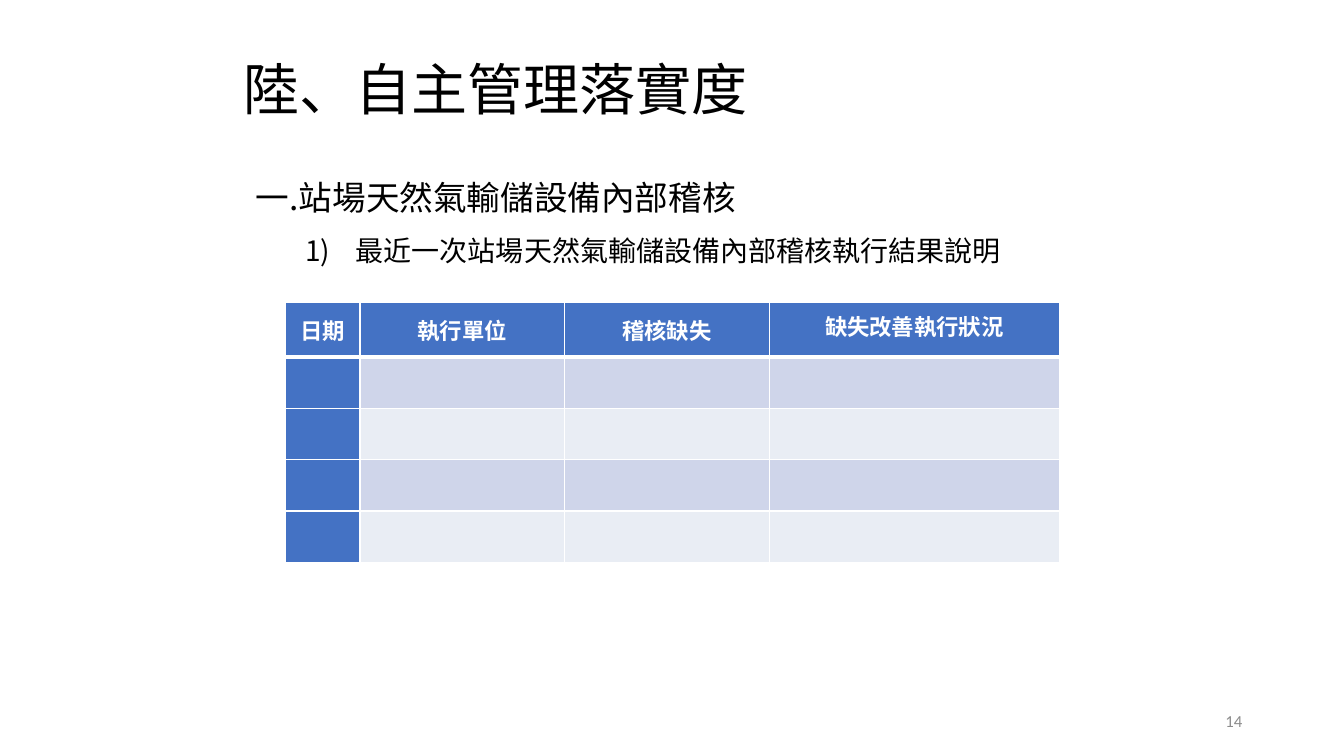
from lxml.etree import SubElement as Sub
from pptx import Presentation
from pptx.dml.color import RGBColor as RGB
from pptx.enum.text import MSO_ANCHOR as Anchor, PP_ALIGN as Align
from pptx.oxml.ns import qn
from pptx.util import Inches, Pt

BLACK = RGB(0, 0, 0)
WHITE = RGB(255, 255, 255)
GRAY = RGB(0x8C, 0x8C, 0x8C)
BLUE = RGB(0x44, 0x72, 0xC4)
BANDS = [RGB(0xE9, 0xED, 0xF4), RGB(0xCF, 0xD5, 0xEA)]
HAN = "Noto Sans CJK SC"

deck = Presentation()
deck.slide_width = Inches(13.33)
deck.slide_height = Inches(7.5)
COL = deck.slide_width / 100
ROW = deck.slide_height / 100
slide = deck.slides.add_slide(deck.slide_layouts[6])


def add_box(left, top, width, height):
    box = slide.shapes.add_textbox(
        int(left * COL), int(top * ROW), int(width * COL), int(height * ROW))
    frame = box.text_frame
    frame.word_wrap = True
    frame.vertical_anchor = Anchor.MIDDLE
    return frame


def add_run(par, text, size, color, face=HAN, bold=False):
    run = par.add_run()
    run.text = text
    font = run.font
    font.size = Pt(size)
    font.bold = bold
    font.color.rgb = color
    font.name = face
    Sub(font._element, qn("a:ea"), typeface=face)


title = add_box(18.15, 8.13, 57.24, 8.13)
title.margin_left = title.margin_right = 0
title.margin_top = title.margin_bottom = 0
par = title.paragraphs[0]
par.line_spacing = 0.9
add_run(par, "陸、自主管理落實度", 40, BLACK)

body = add_box(18.3, 20.4, 61.89, 15.33)
par = body.paragraphs[0]
par.line_spacing = 1.5
add_run(par, "一.站場天然氣輸儲設備內部稽核", 24, BLACK)
par = body.add_paragraph()
par.line_spacing = 1.5
props = par._p.get_or_add_pPr()
props.set("marL", str(Inches(0.99)))
props.set("indent", str(Inches(-0.5)))
Sub(props, qn("a:buFont"), typeface=HAN)
Sub(props, qn("a:buAutoNum"), type="arabicParenR")
add_run(par, "最近一次站場天然氣輸儲設備內部稽核執行結果說明", 20, BLACK)

heads = ["日期", "執行單位", "稽核缺失", "缺失改善執行狀況"]
widths = [5.55, 15.23, 15.23, 21.6]
heights = [7.2] + [6.8] * 4
table = slide.shapes.add_table(
    len(heights), len(widths), int(21.23 * COL), int(40 * ROW),
    int(sum(widths) * COL), int(sum(heights) * ROW)).table
for column, width in zip(table.columns, widths):
    column.width = int(width * COL)
for row, height in zip(table.rows, heights):
    row.height = int(height * ROW)

for y in range(len(heights)):
    for x in range(len(widths)):
        cell = table.cell(y, x)
        props = cell._tc.get_or_add_tcPr()
        for side in "LRTB":
            thick = (y, side) in [(0, "B"), (1, "T")]
            line = Sub(props, qn("a:ln" + side), w=str(Pt(3 if thick else 1)))
            paint = Sub(line, qn("a:solidFill"))
            Sub(paint, qn("a:srgbClr"), val=str(WHITE))
        cell.fill.solid()
        cell.fill.fore_color.rgb = BLUE if y == 0 or x == 0 else BANDS[y % 2]

for x, head in enumerate(heads):
    cell = table.cell(0, x)
    cell.vertical_anchor = Anchor.MIDDLE
    cell.margin_left = cell.margin_right = Inches(0.07)
    cell.margin_top = cell.margin_bottom = 0
    par = cell.text_frame.paragraphs[0]
    par.alignment = Align.CENTER
    add_run(par, head, 16, WHITE, bold=True)
par.line_spacing = Pt(18)

number = add_box(70.67, 92.67, 22.5, 5.33)
par = number.paragraphs[0]
par.alignment = Align.RIGHT
add_run(par, "14", 12, GRAY, "Calibri")

deck.save("out.pptx")
